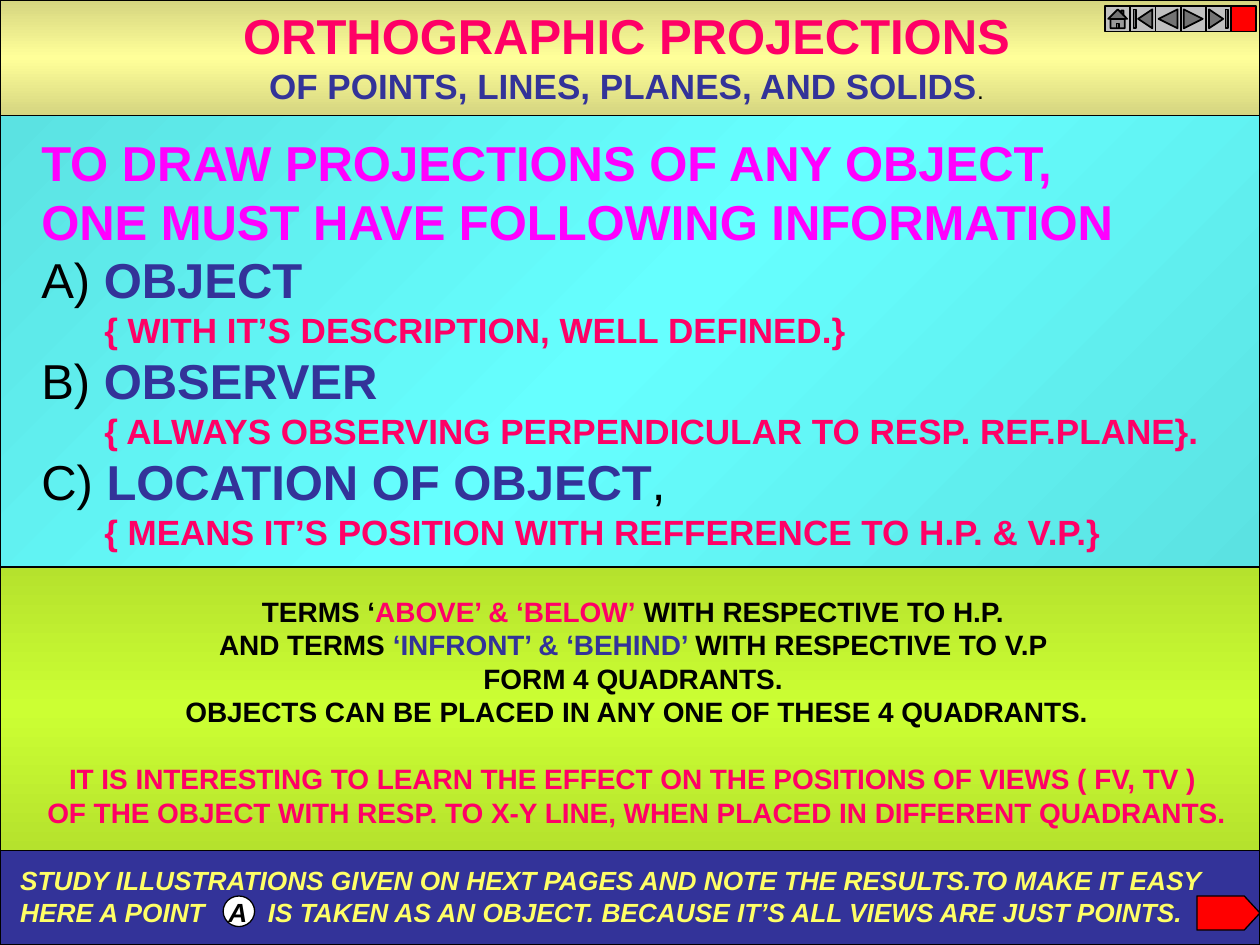
from copy import deepcopy

from pptx import Presentation
from pptx.dml.color import RGBColor
from pptx.enum import shapes, text
from pptx.oxml import parse_xml
from pptx.oxml.ns import nsdecls
from pptx.util import Pt

KIND = shapes.MSO_SHAPE
COLORS = {
    "black": "000000", "white": "FFFFFF", "navy": "333399", "red": "FF0000",
    "pink": "FF0066", "magenta": "FF00FF", "yellow": "FFFF66", "grey": "C0C0C0",
}
GRADIENTS = {
    "lime": ("B5E22D", "CCFF33", 270),
    "aqua": ("5BE2E2", "66FFFF", 315),
    "sand": ("D5D580", "FFFF99", 270),
}
WIDTH, HEIGHT = 720, 540
ICON = 14.4

INFORMATION = [
    [("TO DRAW PROJECTIONS OF ANY OBJECT,", 28, "magenta", True)],
    [("ONE MUST HAVE FOLLOWING INFORMATION", 28, "magenta", True)],
]
NEEDS = [
    ("A) ", "OBJECT", "", "{ WITH IT’S DESCRIPTION, WELL DEFINED.}"),
    ("B) ", "OBSERVER", "", "{ ALWAYS OBSERVING PERPENDICULAR TO RESP. REF.PLANE}."),
    ("C) ", "LOCATION OF OBJECT", ",", "{ MEANS IT’S POSITION WITH REFFERENCE TO H.P. & V.P.}"),
]
TERMS = [
    [("TERMS ‘", "black"), ("ABOVE’ & ‘BELOW’", "pink"), (" WITH RESPECTIVE TO H.P. ", "black")],
    [("AND TERMS ", "black"), ("‘INFRONT’ & ‘BEHIND’ ", "navy"), ("WITH RESPECTIVE TO V.P ", "black")],
    [("FORM 4 QUADRANTS. ", "black")],
    [("OBJECTS CAN BE PLACED IN ANY ONE OF THESE 4 QUADRANTS.", "black")],
    [("IT IS INTERESTING TO LEARN THE EFFECT ON THE POSITIONS OF VIEWS ( FV, TV ) ", "pink")],
    [("OF THE OBJECT WITH RESP. TO X-Y LINE, WHEN PLACED IN DIFFERENT QUADRANTS.", "pink")],
]
STUDY = [
    [("STUDY ILLUSTRATIONS GIVEN ON HEXT PAGES AND NOTE THE RESULTS.TO MAKE IT EASY", "yellow")],
    [("HERE A POINT", "yellow"), ("\tA", "black"),
     ("\tIS TAKEN AS AN OBJECT. BECAUSE IT’S ALL VIEWS ARE JUST POINTS.", "yellow")],
]
BUTTONS = [
    (KIND.ACTION_BUTTON_HOME, "grey"),
    (KIND.ACTION_BUTTON_BEGINNING, "grey"),
    (KIND.ACTION_BUTTON_BACK_OR_PREVIOUS, "grey"),
    (KIND.ACTION_BUTTON_FORWARD_OR_NEXT, "grey"),
    (KIND.ACTION_BUTTON_END, "grey"),
    (KIND.ACTION_BUTTON_CUSTOM, "red"),
]


def rgb(name):
    return RGBColor.from_string(COLORS[name])


def add_outlined(parent, kind, box, color=None, line=0.75):
    sp = parent.add_shape(kind, *map(Pt, box))
    sp.shadow.inherit = False
    sp.line.color.rgb = rgb("black")
    sp.line.width = Pt(line)
    if color:
        sp.fill.solid()
        sp.fill.fore_color.rgb = rgb(color)
    return sp


def add_gradient_band(s, top, height, gradient):
    edge, middle, angle = GRADIENTS[gradient]
    sp = add_outlined(s.shapes, KIND.RECTANGLE, (0, top, WIDTH, height))
    sp.fill.gradient()
    sp.fill.gradient_angle = angle
    stops = sp.fill._fill._gradFill.gsLst
    stops.append(deepcopy(stops[0]))
    for stop, color, position in zip(sp.fill.gradient_stops, (edge, middle, edge), (0, 0.5, 1)):
        stop.color.rgb = RGBColor.from_string(color)
        stop.position = position


def write(tf, lines, align=text.PP_ALIGN.LEFT, italic=False):
    formats = {"word_wrap": False, "auto_size": text.MSO_AUTO_SIZE.SHAPE_TO_FIT_TEXT,
               "vertical_anchor": text.MSO_ANCHOR.TOP}
    for key, value in formats.items():
        setattr(tf, key, value)
    for i, line in enumerate(lines):
        p = tf.add_paragraph() if i else tf.paragraphs[0]
        p.alignment = align
        for words, size, color, bold in line:
            r = p.add_run()
            r.text = words
            r.font.color.rgb = rgb(color)
            for key, value in {"name": "Arial", "size": Pt(size), "bold": bold, "italic": italic}.items():
                setattr(r.font, key, value)


def add_text(s, box, lines, **options):
    tf = s.shapes.add_textbox(*map(Pt, box)).text_frame
    write(tf, lines, **options)
    return tf


def bold_lines(lines, size):
    return [[(words, size, color, True) for words, color in line] for line in lines]


def place_title(s):
    title = s.shapes.title
    for key, value in zip(("left", "top", "width", "height"), (131.5, -0.5, 453, 65)):
        setattr(title, key, Pt(value))
    write(title.text_frame, [
        [("ORTHOGRAPHIC PROJECTIONS", 28, "pink", True)],
        [("OF POINTS, LINES, PLANES, AND SOLIDS", 20, "navy", True), (".", 14, "black", False)],
    ], align=text.PP_ALIGN.CENTER)
    s.shapes._spTree.append(title._element)


def add_information(s):
    lines = list(INFORMATION)
    for letter, need, ending, detail in NEEDS:
        heading = [(letter, 28, "black", False), (need, 28, "navy", True)]
        if ending:
            heading.append((ending, 28, "black", False))
        lines += [heading, [("\t", 20, "black", False), (detail, 20, "pink", True)]]
    tf = add_text(s, (16.5, 72, 685.5, 247.5), lines)
    for p in tf.paragraphs:
        pPr = p._p.get_or_add_pPr()
        pPr.set("marL", str(Pt(36)))
        pPr.set("indent", str(Pt(-36)))


def add_terms(s):
    tf = add_text(s, (18, 336, 692, 142), bold_lines(TERMS, 16), align=text.PP_ALIGN.CENTER)
    tf.paragraphs[4].space_before = Pt(19)


def add_study_note(s):
    tf = add_text(s, (4.5, 490.5, 697.5, 43), bold_lines(STUDY, 15), italic=True)
    stops = "".join(f'<a:tab pos="{Pt(x)}" algn="l"/>' for x in (119, 141.5))
    pPr = tf.paragraphs[1]._p.get_or_add_pPr()
    pPr.append(parse_xml(f'<a:tabLst {nsdecls("a")}>{stops}</a:tabLst>'))


def add_navigation(s):
    arrow = add_outlined(s.shapes, KIND.PENTAGON, (684, 512, 36, 19.5), "red")
    arrow.adjustments[0] = 0.46
    group = s.shapes.add_group_shape()
    for i, (kind, color) in enumerate(BUTTONS):
        add_outlined(group.shapes, kind, (631.5 + i * ICON, 3.6, ICON, ICON), color, 1)


def main():
    prs = Presentation()
    prs.slide_width, prs.slide_height = Pt(WIDTH), Pt(HEIGHT)
    s = prs.slides.add_slide(prs.slide_layouts[5])
    add_outlined(s.shapes, KIND.RECTANGLE, (0, 486, WIDTH, 54), "navy")
    add_outlined(s.shapes, KIND.OVAL, (127.5, 512, 18, 17.5), "white")
    add_gradient_band(s, 324, 162, "lime")
    add_gradient_band(s, 66, 258, "aqua")
    add_gradient_band(s, 0, 66, "sand")
    add_information(s)
    add_terms(s)
    place_title(s)
    add_study_note(s)
    add_navigation(s)
    prs.save("out.pptx")


if __name__ == "__main__":
    main()
